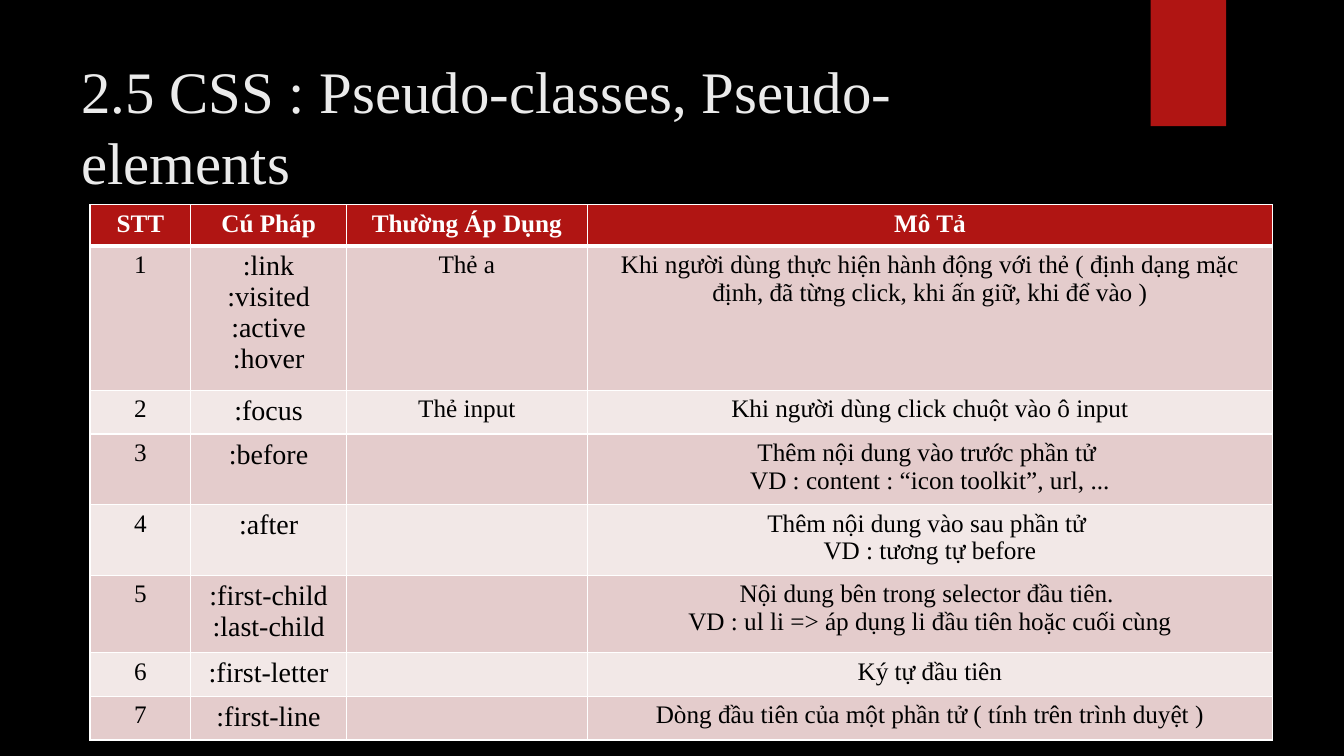
import pptx
import pptx.dml.color
import pptx.enum.shapes
import pptx.enum.text
import pptx.oxml
import pptx.oxml.ns
import pptx.util
from pptx.util import Cm, Pt

# Content: a list is several paragraphs, "\n" is a line break
TITLE = "2.5 CSS : Pseudo-classes, Pseudo-elements"
HEADINGS = ("STT", "Cú Pháp", "Thường Áp Dụng", "Mô Tả")
SELECTORS = [
    (":link\n:visited\n:active\n:hover", "Thẻ a",
     "Khi người dùng thực hiện hành động với thẻ ( định dạng mặc định, "
     "đã từng click, khi ấn giữ, khi để vào )"),
    (":focus", "Thẻ input", "Khi người dùng click chuột vào ô input"),
    (":before", "", ["Thêm nội dung vào trước phần tử ",
                     "VD : content : “icon toolkit”, url, ..."]),
    (":after", "", ["Thêm nội dung vào sau phần tử ", "VD : tương tự before"]),
    ([":first-child", ":last-child"], "",
     ["Nội dung bên trong selector đầu tiên. ",
      "VD : ul li => áp dụng li đầu tiên hoặc cuối cùng"]),
    (":first-letter", "", "Ký tự đầu tiên"),
    (":first-line", "", "Dòng đầu tiên của một phần tử ( tính trên trình duyệt )"),
]

# Look
FONT = "Times New Roman"
COLORS = {"background": "000000", "accent": "B01513", "title": "EBEBEB",
          "white": "FFFFFF", "text": "000000", "odd": "E4CCCC", "even": "F2E8E7"}
COLUMN_WIDTHS = (2.54, 3.92, 6.07, 17.27)
MIN_ROW_HEIGHT = 1.03
CELL_PADDING = 0.26
LINE_HEIGHTS = {18: 0.7, 20: 0.78}
SYNTAX_COLUMN = 1


def rgb(name):
    return pptx.dml.color.RGBColor.from_string(COLORS[name])


def paint(fill, name):
    fill.solid()
    fill.fore_color.rgb = rgb(name)


def add_run(paragraph, text, size, color, bold=False):
    run = paragraph.add_run()
    run.text = text
    run.font.name = FONT
    run.font.size = Pt(size)
    run.font.bold = bold
    run.font.color.rgb = rgb(color)


def as_paragraphs(content):
    return content if isinstance(content, list) else [content]


def write(frame, content, size, color, bold=False):
    for index, text in enumerate(as_paragraphs(content)):
        paragraph = frame.add_paragraph() if index else frame.paragraphs[0]
        paragraph.alignment = pptx.enum.text.PP_ALIGN.CENTER
        paragraph.font.size = Pt(size)
        for number, line in enumerate(text.split("\n")):
            if number:
                paragraph.add_line_break()
            if line:
                add_run(paragraph, line, size, color, bold)


def add_borders(cell, bottom):
    properties = cell._tc.get_or_add_tcPr()
    widths = {"lnL": 1, "lnR": 1, "lnT": 1, "lnB": bottom}
    for position, (side, width) in enumerate(widths.items()):
        properties.insert(position, pptx.oxml.parse_xml(
            f'<a:{side} {pptx.oxml.ns.nsdecls("a")} w="{Pt(width)}"><a:solidFill>'
            f'<a:srgbClr val="{COLORS["white"]}"/></a:solidFill></a:{side}>'))


def text_size(r, c):
    return 20 if r and c == SYNTAX_COLUMN else 18


def row_height(r, row):
    needed = [CELL_PADDING + LINE_HEIGHTS[text_size(r, c)]
              * len("\n".join(as_paragraphs(content)).split("\n"))
              for c, content in enumerate(row)]
    return max(MIN_ROW_HEIGHT, *needed)


deck = pptx.Presentation()
deck.slide_width, deck.slide_height = Cm(33.87), Cm(19.05)
slide = deck.slides.add_slide(deck.slide_layouts[6])
paint(slide.background.fill, "background")

# Red tab at the top edge
tab = slide.shapes.add_shape(pptx.enum.shapes.MSO_SHAPE.RECTANGLE,
                             Cm(29), Cm(0), Cm(1.9), Cm(3.18))
tab.shadow.inherit = False
paint(tab.fill, "accent")
tab.line.fill.background()

# Title
heading = slide.shapes.add_textbox(Cm(1.8), Cm(1.22), Cm(26.14), Cm(3.89)).text_frame
heading.word_wrap = True
heading.margin_right = Cm(0.5)
heading.vertical_anchor = pptx.enum.text.MSO_ANCHOR.MIDDLE
add_run(heading.paragraphs[0], TITLE, 42, "title")

# Table of selectors
rows = [HEADINGS] + [(str(n), *entry) for n, entry in enumerate(SELECTORS, 1)]
heights = [row_height(r, row) for r, row in enumerate(rows)]
table = slide.shapes.add_table(
    len(rows), len(HEADINGS), Cm(2.27), Cm(5.16),
    Cm(sum(COLUMN_WIDTHS)), Cm(sum(heights))).table
for column, width in zip(table.columns, COLUMN_WIDTHS):
    column.width = Cm(width)
for r, row in enumerate(rows):
    table.rows[r].height = Cm(heights[r])
    is_header = r == 0
    for c, content in enumerate(row):
        cell = table.cell(r, c)
        paint(cell.fill, "accent" if is_header else "odd" if r % 2 else "even")
        add_borders(cell, 3 if is_header else 1)
        write(cell.text_frame, content, text_size(r, c),
              "white" if is_header else "text", is_header)

deck.save("out.pptx")
